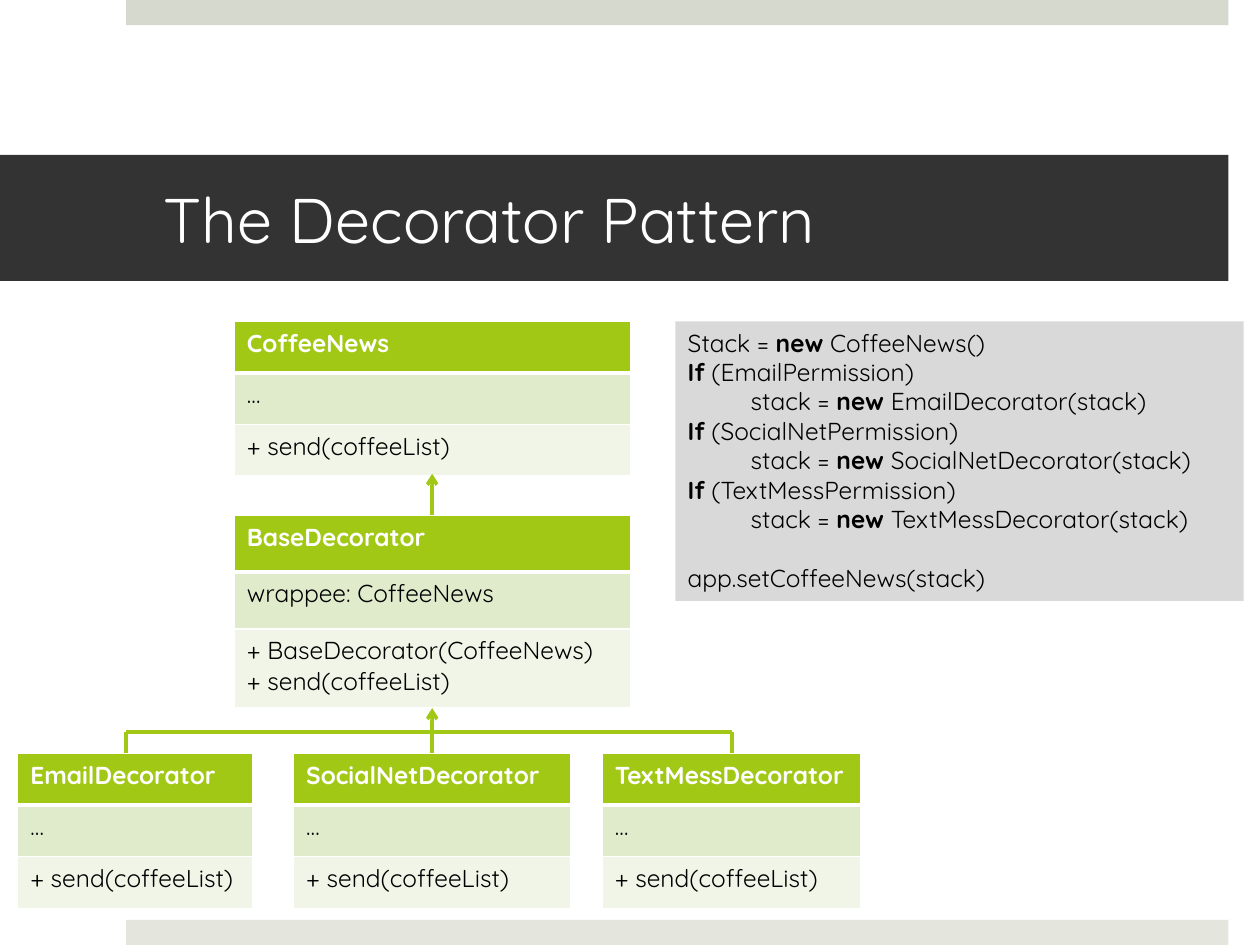
from lxml import etree
from pptx import Presentation, util as u
from pptx.dml.color import RGBColor
from pptx.enum import shapes, text
from pptx.oxml import ns

COLORS = {
    "dark": "333333", "white": "FFFFFF", "black": "000000",
    "top": "D6D9CD", "bottom": "E4E6DE", "code": "D9D9D9",
    "green": "A2C816", "fields": "E0EBCC", "methods": "F0F5E8",
}
CLASS_BOXES = [
    (1.86, 2.55, 3.15, (0.41, 0.41, 0.41), ("CoffeeNews", "…", "+ send(coffeeList)")),
    (1.86, 4.09, 3.15, (0.45, 0.45, 0.63),
     ("BaseDecorator", "wrappee: CoffeeNews", "+ BaseDecorator(CoffeeNews)\n+ send(coffeeList)")),
]
DECORATORS = [(0.14, 1.87, "Email"), (2.33, 2.2, "SocialNet"), (4.78, 2.05, "TextMess")]


def rgb(name):
    """Return the named colour."""
    return RGBColor.from_string(COLORS[name])


def write(tf, content, size=14, color="black", bold=False):
    """Write lines into a text frame; asterisks switch bold on and off."""
    for i, line in enumerate(content.split("\n")):
        p = tf.paragraphs[0] if i == 0 else tf.add_paragraph()
        p.alignment = text.PP_ALIGN.LEFT
        if line.startswith("\t"):
            tabs = etree.SubElement(p._p.get_or_add_pPr(), ns.qn("a:tabLst"))
            etree.SubElement(tabs, ns.qn("a:tab"), pos=str(u.Inches(0.5)), algn="l")
        for j, part in enumerate(line.split("*")):
            if part:
                r = p.add_run()
                r.text = part
                r.font.name = "Quicksand"
                r.font.size = u.Pt(size)
                r.font.bold = bold or j % 2 == 1
                r.font.color.rgb = rgb(color)


def add_box(s, x, y, w, h, fill):
    """Add a plain filled rectangle."""
    sp = s.shapes.add_shape(shapes.MSO_SHAPE.RECTANGLE, *map(u.Inches, (x, y, w, h)))
    sp.shadow.inherit = False
    sp.fill.solid()
    sp.fill.fore_color.rgb = rgb(fill)
    sp.line.fill.background()
    return sp


def add_border(cell, side, width):
    """Give one side of a cell a white border."""
    ln = etree.SubElement(cell._tc.get_or_add_tcPr(), ns.qn(f"a:ln{side}"), w=str(u.Pt(width)))
    fill = etree.SubElement(ln, ns.qn("a:solidFill"))
    etree.SubElement(fill, ns.qn("a:srgbClr"), val=COLORS["white"])


def add_class(s, x, y, w, heights, parts):
    """Add a class box with name, fields and methods."""
    frame = s.shapes.add_table(3, 1, *map(u.Inches, (x, y, w, sum(heights))))
    table = frame.table
    table.horz_banding = False
    for i, (height, part) in enumerate(zip(heights, parts)):
        table.rows[i].height = u.Inches(height)
        cell = table.cell(i, 0)
        for side, width in (("L", 1), ("R", 1), ("T", 3 if i == 1 else 1), ("B", 3 if i == 0 else 1)):
            add_border(cell, side, width)
        cell.fill.solid()
        cell.fill.fore_color.rgb = rgb(("green", "fields", "methods")[i])
        write(cell.text_frame, part, color="white" if i == 0 else "black", bold=i == 0)


def add_line(s, x1, y1, x2, y2, arrow=False):
    """Add a green line, with an arrowhead at its end if asked."""
    c = s.shapes.add_connector(shapes.MSO_CONNECTOR.STRAIGHT, *map(u.Inches, (x1, y1, x2, y2)))
    c.line.color.rgb = rgb("green")
    c.line.width = u.Pt(2)
    if arrow:
        etree.SubElement(c.line._get_or_add_ln(), ns.qn("a:tailEnd"), type="arrow")
    etree.SubElement(c._element.spPr, ns.qn("a:effectLst"))


def add_title(s, content):
    """Add the title band."""
    tf = add_box(s, 0, 1.23, 9.75, 1, "dark").text_frame
    tf.word_wrap = True
    tf.vertical_anchor = text.MSO_ANCHOR.MIDDLE
    tf.margin_left, tf.margin_right = u.Inches(1.3), u.Inches(0.3)
    write(tf, content, size=36, color="white")


def add_code(s):
    """Add the pseudocode panel."""
    tf = add_box(s, 5.36, 2.55, 4.51, 2.22, "code").text_frame
    tf.word_wrap = True
    tf.vertical_anchor = text.MSO_ANCHOR.TOP
    checks = [f"*If* ({name}Permission)\n\tstack = *new* {name}Decorator(stack)"
              for _, _, name in DECORATORS]
    write(tf, "\n".join(["Stack = *new* CoffeeNews()", *checks, "app.setCoffeeNews(stack)"]))
    tf.paragraphs[-1].space_before = u.Pt(17)


def main():
    """Build the slide."""
    prs = Presentation()
    prs.slide_width, prs.slide_height = u.Inches(10), u.Inches(7.5)
    s = prs.slides.add_slide(prs.slide_layouts[6])
    add_box(s, 1, 0, 8.75, 0.2, "top")
    add_box(s, 1, 7.3, 8.75, 0.2, "bottom")
    add_title(s, "The Decorator Pattern")
    for box in CLASS_BOXES:
        add_class(s, *box)
    for x, w, name in DECORATORS:
        add_class(s, x, 5.98, w, (0.41, 0.41, 0.41), (f"{name}Decorator", "…", "+ send(coffeeList)"))
    add_code(s)
    add_line(s, 3.43, 4.09, 3.43, 3.76, arrow=True)
    add_line(s, 3.43, 5.98, 3.43, 5.62, arrow=True)
    for x in (5.81, 1):
        add_line(s, x, 5.98, x, 5.81)
    add_line(s, 5.81, 5.81, 1, 5.81)
    prs.save("out.pptx")


if __name__ == "__main__":
    main()
